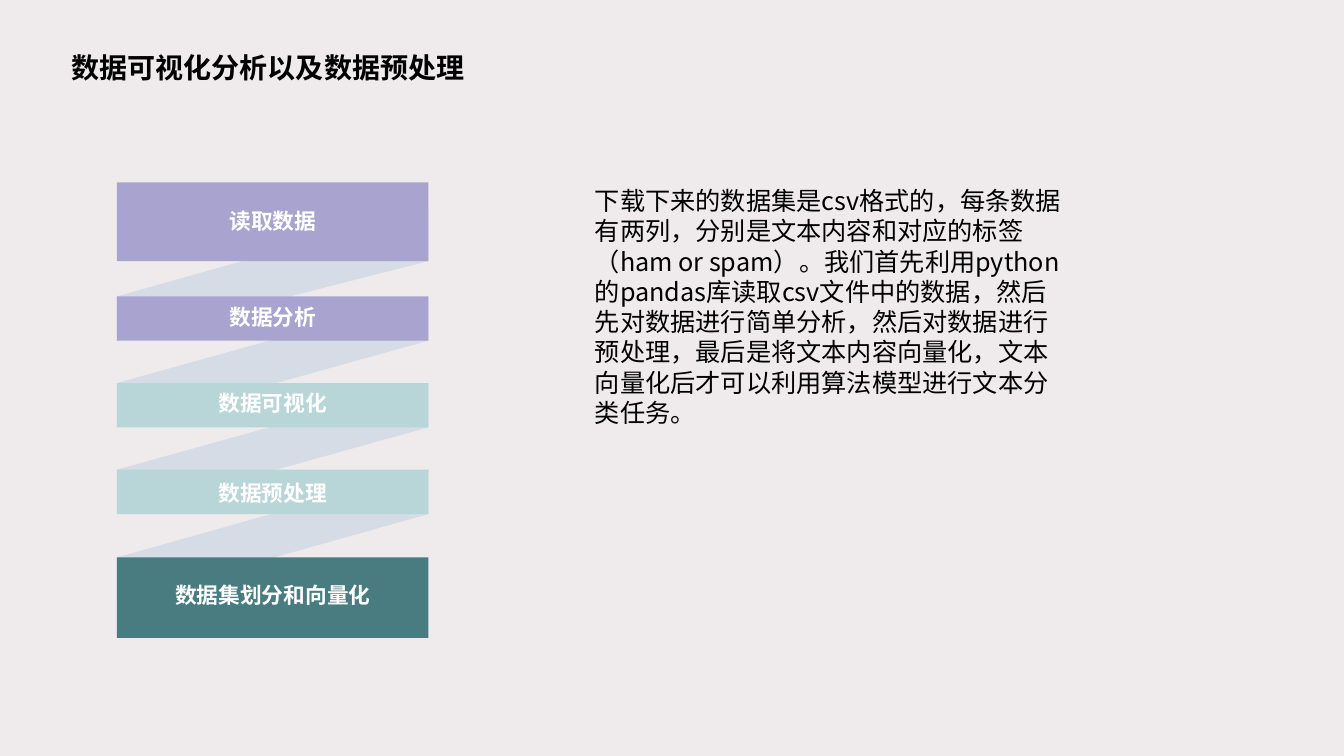
"""Build the slide on data visualisation and preprocessing steps."""
from lxml import etree
from pptx import Presentation
from pptx.dml.color import RGBColor
from pptx.enum.shapes import MSO_SHAPE
from pptx.enum.text import MSO_ANCHOR, MSO_AUTO_SIZE, PP_ALIGN
from pptx.oxml.ns import qn
from pptx.util import Inches, Pt

FONT = "Noto Sans CJK SC"
BACKGROUND = RGBColor(0xEF, 0xEB, 0xEC)
RIBBON = RGBColor(0xD6, 0xDC, 0xE5)
PURPLE = RGBColor(0xA9, 0xA3, 0xD0)
MINT = RGBColor(0xB8, 0xD5, 0xD7)
TEAL = RGBColor(0x48, 0x7C, 0x80)
WHITE = RGBColor(0xFF, 0xFF, 0xFF)
BLACK = RGBColor(0, 0, 0)

LEFT, WIDTH, THIN = 1.16, 3.09, 0.44
RIGHT = LEFT + WIDTH
STEPS = [
    ("读取数据", 1.81, 0.78, 2.01, PURPLE),
    ("数据分析", 2.94, THIN, 2.96, PURPLE),
    ("数据可视化", 3.8, THIN, 3.81, MINT),
    ("数据预处理", 4.66, THIN, 4.7, MINT),
    ("数据集划分和向量化", 5.53, 0.8, 5.72, TEAL),
]
BODY = (
    "下载下来的数据集是csv格式的，每条数据有两列，分别是文本内容和对应的标签"
    "（ham or spam）。我们首先利用python的pandas库读取csv文件中的数据，"
    "然后先对数据进行简单分析，然后对数据进行预处理，最后是将文本内容向量化，"
    "文本向量化后才可以利用算法模型进行文本分类任务。"
)


def write(sp, text, size, color, bold, align, anchor, wrap):
    tf = sp.text_frame
    tf.text = text
    tf.word_wrap = wrap
    tf.auto_size = MSO_AUTO_SIZE.NONE
    tf.vertical_anchor = anchor
    p = tf.paragraphs[0]
    p.alignment = align
    p.line_spacing = 1.0
    p.space_before = Pt(0)
    r = p.runs[0]
    r.font.size, r.font.bold, r.font.name = Pt(size), bold, FONT
    r.font.color.rgb = color
    etree.SubElement(r.font._element, qn("a:ea"), typeface=FONT)


def paint(sp, color):
    sp.shadow.inherit = False
    sp.fill.solid()
    sp.fill.fore_color.rgb = color
    sp.line.fill.background()


prs = Presentation()
prs.slide_width, prs.slide_height = Inches(13.33), Inches(7.5)
s = prs.slides.add_slide(prs.slide_layouts[1])
s.background.fill.solid()
s.background.fill.fore_color.rgb = BACKGROUND

for (name, top, height, label_top, color), following in zip(STEPS, STEPS[1:]):
    next_top = following[1]
    bottom = top + height
    fold = bottom - max(THIN, height * 2 / 3)
    corners = [(RIGHT, fold), (LEFT, next_top), (LEFT, next_top + THIN), (RIGHT, bottom)]
    points = [(Inches(x), Inches(y)) for x, y in corners]
    fb = s.shapes.build_freeform(*points[0])
    fb.add_line_segments(points[1:], close=True)
    paint(fb.convert_to_shape(), RIBBON)

for name, top, height, label_top, color in STEPS:
    bar = s.shapes.add_shape(MSO_SHAPE.RECTANGLE, Inches(LEFT), Inches(top), Inches(WIDTH), Inches(height))
    paint(bar, color)
    label = s.shapes.add_textbox(Inches(1.93), Inches(label_top), Inches(1.55), Inches(0.37))
    paint(label, color)
    write(label, name, 15.5, WHITE, True, PP_ALIGN.CENTER, MSO_ANCHOR.MIDDLE, False)

title = s.shapes.title
title.left, title.top, title.width, title.height = map(Inches, (0.61, 0.45, 4.18, 0.63))
write(title, "数据可视化分析以及数据预处理", 20, BLACK, True, PP_ALIGN.LEFT, MSO_ANCHOR.TOP, True)

body = s.placeholders[1]
body.left, body.top, body.width, body.height = map(Inches, (5.8, 1.79, 4.87, 2.91))
write(body, BODY, 18, BLACK, False, PP_ALIGN.LEFT, MSO_ANCHOR.TOP, True)
pPr = body.text_frame.paragraphs[0]._p.get_or_add_pPr()
pPr.set("marL", "0")
pPr.set("indent", "0")
etree.SubElement(pPr, qn("a:buNone"))

prs.save("out.pptx")
